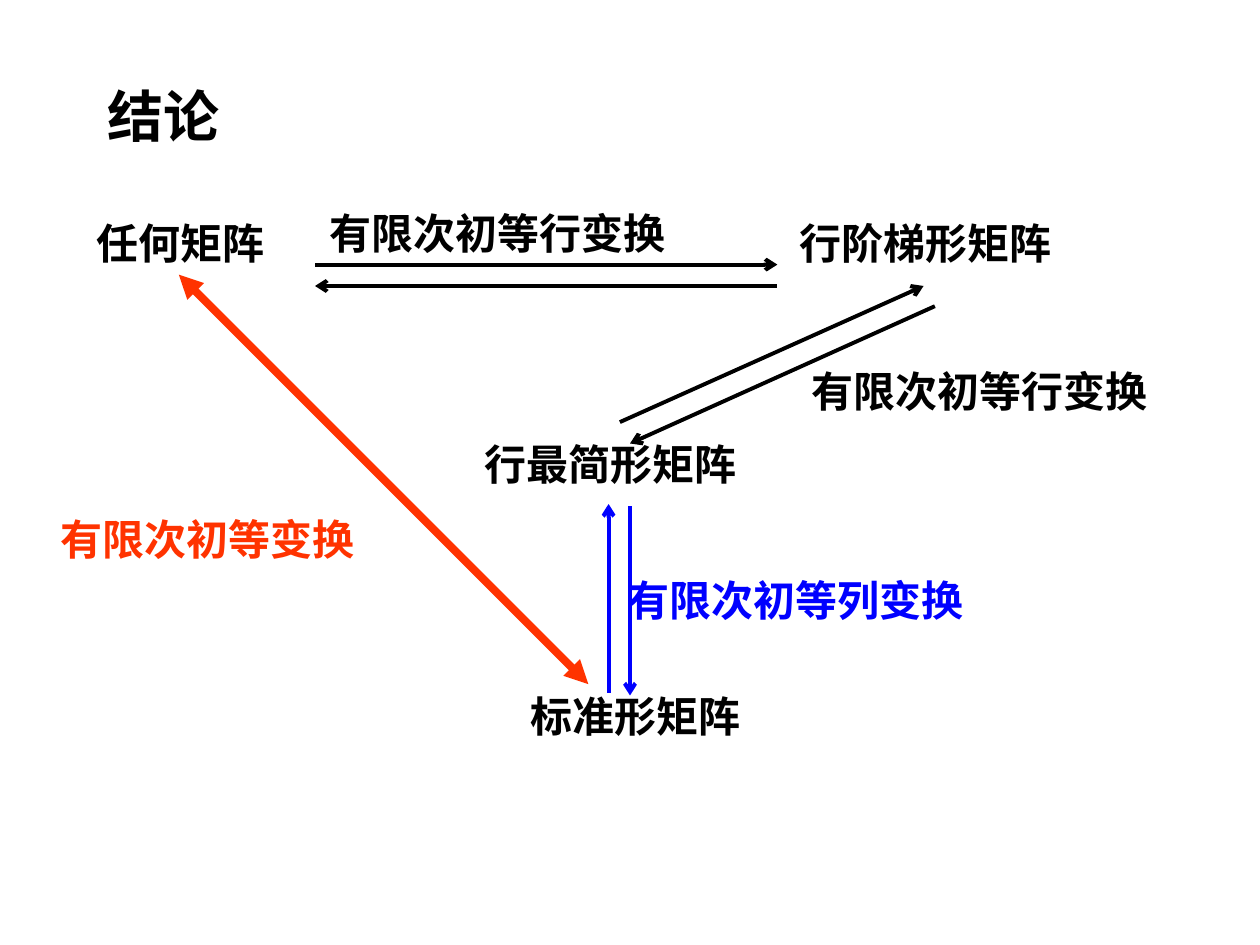
from dataclasses import dataclass

from lxml.etree import SubElement
from pptx import Presentation
from pptx.dml.color import RGBColor
from pptx.enum.shapes import MSO_CONNECTOR
from pptx.enum.text import MSO_ANCHOR, MSO_AUTO_SIZE, PP_ALIGN
from pptx.oxml.ns import qn
from pptx.util import Inches, Pt


@dataclass(frozen=True)
class Theme:
    font: str = "Times New Roman"
    title_size: int = 32
    text_size: int = 24
    line_width: float = 2.25
    heavy_width: float = 4.5
    black: RGBColor = RGBColor(0, 0, 0)
    blue: RGBColor = RGBColor(0, 0, 255)
    red: RGBColor = RGBColor(255, 51, 0)


theme = Theme()


def write_text(sp, text, size, color, align=PP_ALIGN.LEFT):
    tf = sp.text_frame
    tf.word_wrap = True
    tf.auto_size = MSO_AUTO_SIZE.NONE
    tf.vertical_anchor = MSO_ANCHOR.TOP
    p = tf.paragraphs[0]
    p.text = text
    p.alignment = align
    p.font.name = theme.font
    p.font.size = Pt(size)
    p.font.bold = True
    p.font.color.rgb = color


def add_arrow(s, start, end, color, width, head=None, tail=None):
    line = s.shapes.add_connector(
        MSO_CONNECTOR.STRAIGHT, *(Inches(v) for v in (*start, *end)))
    line.line.color.rgb = color
    line.line.width = Pt(width)
    ln = line.line._get_or_add_ln()
    for tag, kind in (("a:headEnd", head), ("a:tailEnd", tail)):
        if kind:
            SubElement(ln, qn(tag), type=kind)
    SubElement(line._element.spPr, qn("a:effectLst"))


prs = Presentation()
prs.slide_width, prs.slide_height = Inches(10), Inches(7.5)
s = prs.slides.add_slide(prs.slide_layouts[5])

# Title
title = s.shapes.title
title.left, title.top = Inches(0.75), Inches(0.6)
title.width, title.height = Inches(1.65), Inches(0.64)
write_text(title, "结论", theme.title_size, theme.black)

# Arrows: a pair for each reversible step, and a double-headed shortcut
arrows = [
    ((2.5, 2.1), (6.17, 2.1), theme.black, theme.line_width, None, "arrow"),
    ((2.5, 2.27), (6.17, 2.27), theme.black, theme.line_width, "arrow", None),
    ((7.33, 2.27), (4.92, 3.35), theme.black, theme.line_width, "arrow", None),
    ((7.42, 2.43), (5, 3.52), theme.black, theme.line_width, None, "arrow"),
    ((4.83, 4), (4.83, 5.5), theme.blue, theme.line_width, "arrow", None),
    ((5, 4.02), (5, 5.52), theme.blue, theme.line_width, None, "arrow"),
    ((1.42, 2.18), (4.67, 5.43), theme.red, theme.heavy_width, "triangle", "triangle"),
]
for arrow in arrows:
    add_arrow(s, *arrow)

# Matrix forms, then the transformations that link them
labels = [
    ("任何矩阵", 0.67, 1.68, 1.83, theme.black, PP_ALIGN.LEFT),
    ("行阶梯形矩阵", 6.25, 1.68, 2.58, theme.black, PP_ALIGN.LEFT),
    ("行最简形矩阵", 3.75, 3.43, 2.58, theme.black, PP_ALIGN.LEFT),
    ("标准形矩阵", 3.75, 5.43, 2.58, theme.black, PP_ALIGN.CENTER),
    ("有限次初等行变换", 2.52, 1.6, 3.2, theme.black, PP_ALIGN.LEFT),
    ("有限次初等行变换", 6.34, 2.85, 3.2, theme.black, PP_ALIGN.LEFT),
    ("有限次初等列变换", 4.88, 4.51, 3.36, theme.blue, PP_ALIGN.LEFT),
    ("有限次初等变换", 0.38, 4.03, 2.7, theme.red, PP_ALIGN.LEFT),
]
for text, left, top, width, color, align in labels:
    sp = s.shapes.add_textbox(Inches(left), Inches(top), Inches(width), Inches(0.5))
    write_text(sp, text, theme.text_size, color, align)

prs.save("out.pptx")
